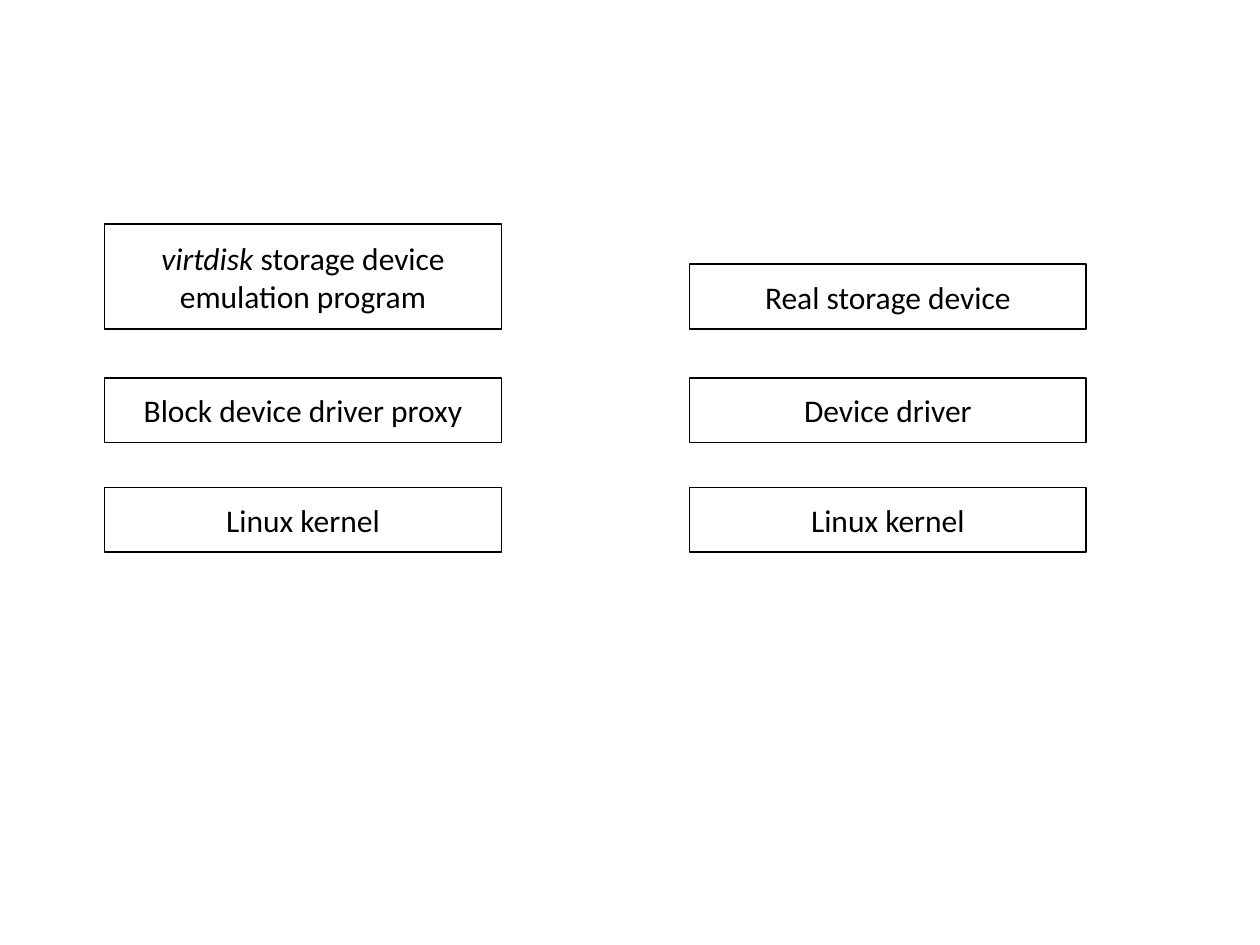
"""Build a slide comparing the emulated and the real storage device stacks."""
from pptx import Presentation
from pptx.dml.color import RGBColor
from pptx.enum.shapes import MSO_SHAPE
from pptx.enum.text import MSO_ANCHOR, PP_ALIGN
from pptx.util import Cm, Pt

RECTANGLE = MSO_SHAPE.RECTANGLE
MIDDLE = MSO_ANCHOR.MIDDLE
CENTER = PP_ALIGN.CENTER
BLACK = RGBColor(0, 0, 0)

BOX_WIDTH = 8.0
ONE_LINE, TWO_LINES = 1.3, 2.11
LAYER_BOTTOMS = (6.63, 8.92, 11.13)

STACKS = [
    {"left": 2.11, "layers": [
        (TWO_LINES, [("virtdisk", True), (" storage device emulation program", False)]),
        (ONE_LINE, [("Block device driver proxy", False)]),
        (ONE_LINE, [("Linux kernel", False)]),
    ]},
    {"left": 13.9, "layers": [
        (ONE_LINE, [("Real storage device", False)]),
        (ONE_LINE, [("Device driver", False)]),
        (ONE_LINE, [("Linux kernel", False)]),
    ]},
]


def add_layer(slide, left, bottom, height, spans):
    box = slide.shapes.add_shape(
        RECTANGLE, Cm(left), Cm(bottom - height), Cm(BOX_WIDTH), Cm(height))
    box.shadow.inherit = False
    box.fill.background()
    box.line.color.rgb = BLACK
    box.line.width = Pt(1)
    box.text_frame.word_wrap = True
    box.text_frame.vertical_anchor = MIDDLE
    para = box.text_frame.paragraphs[0]
    para.alignment = CENTER
    for text, italic in spans:
        span = para.add_run()
        span.text = text
        span.font.name = "Calibri"
        span.font.size = Pt(18)
        span.font.italic = italic
        span.font.color.rgb = BLACK


def main():
    deck = Presentation()
    deck.slide_width, deck.slide_height = Cm(25.4), Cm(19.05)
    slide = deck.slides.add_slide(deck.slide_layouts.get_by_name("Blank"))
    for stack in STACKS:
        for bottom, (height, spans) in zip(LAYER_BOTTOMS, stack["layers"]):
            add_layer(slide, stack["left"], bottom, height, spans)
    deck.save("out.pptx")


if __name__ == "__main__":
    main()
